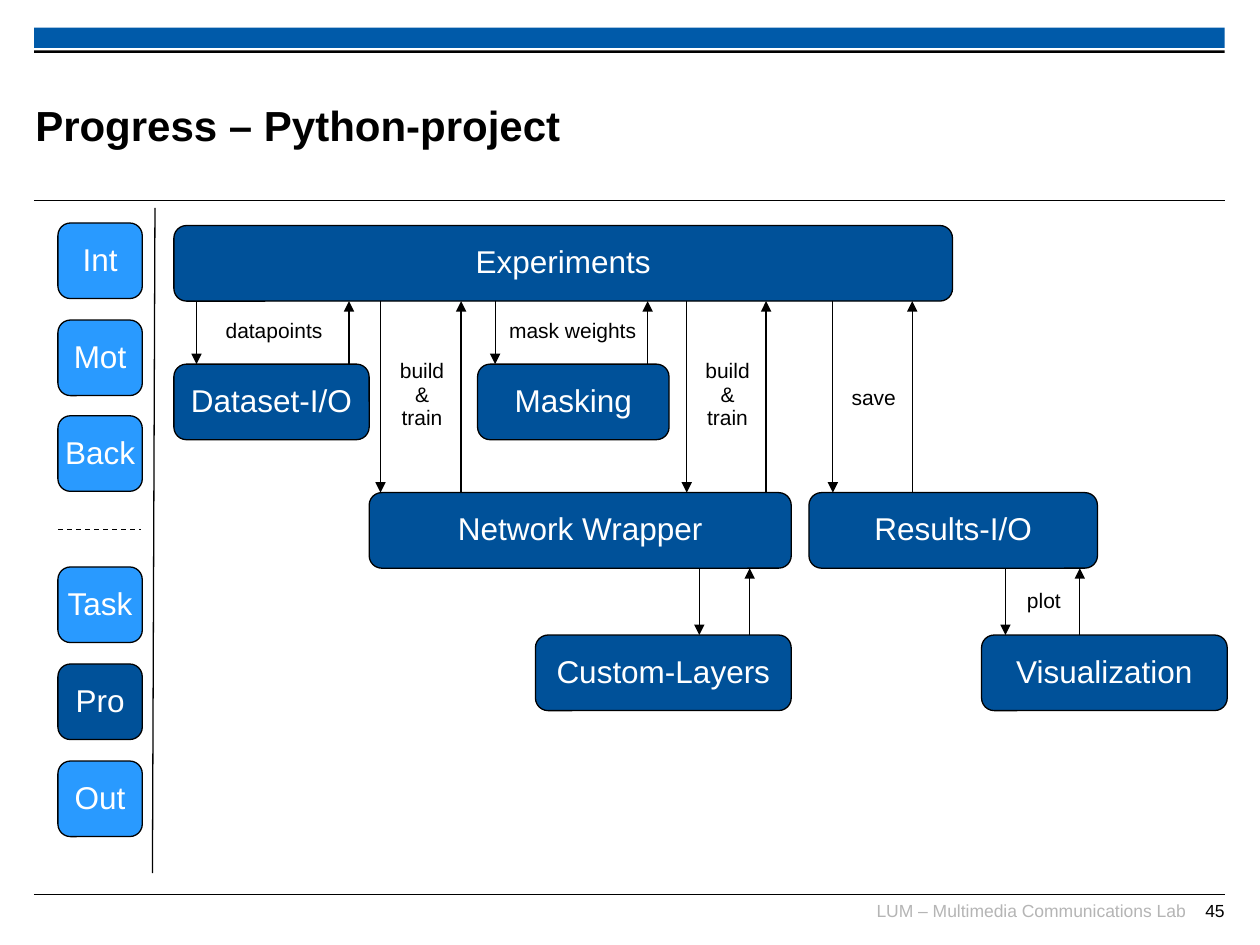
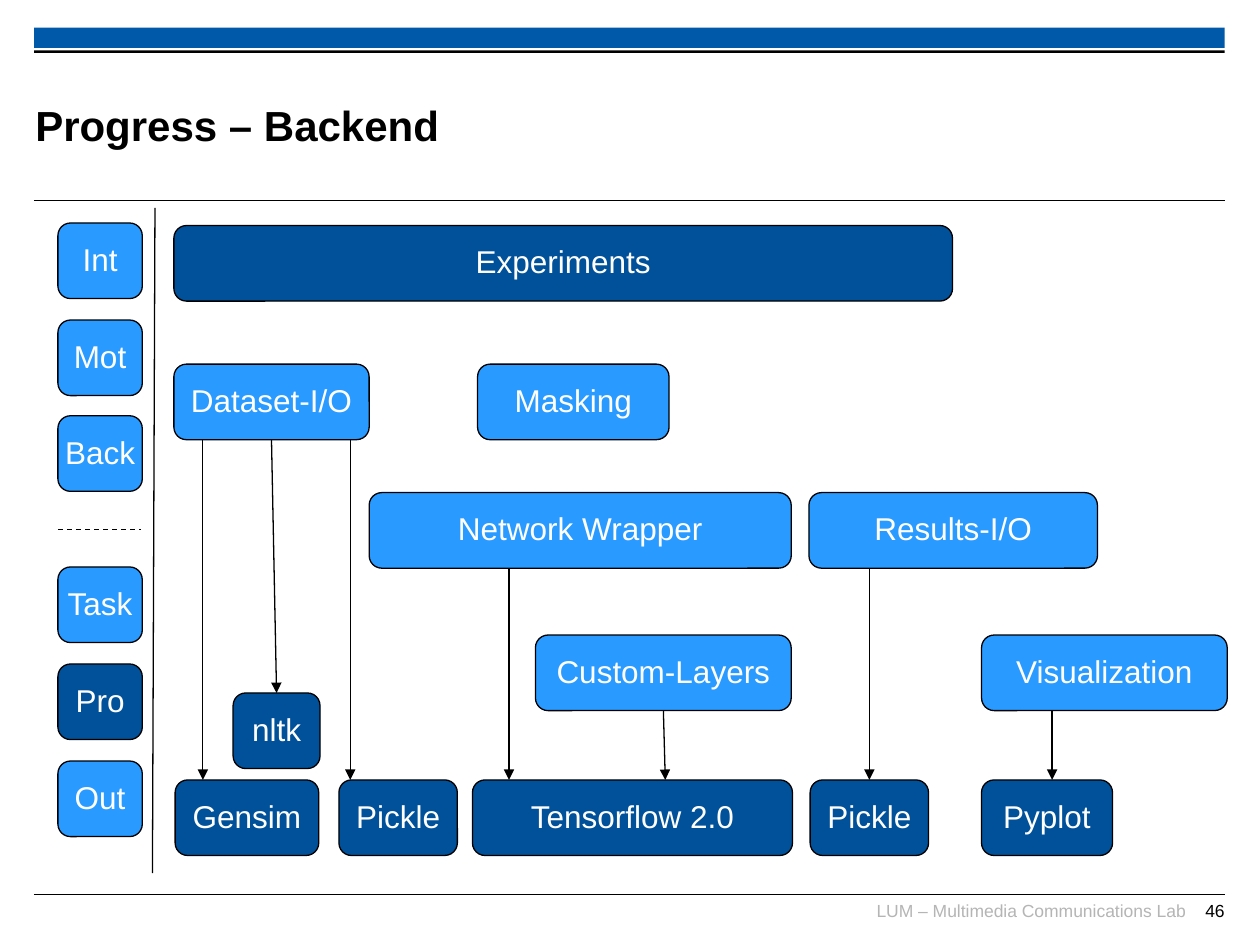
import pptx
import pptx.dml.color
import pptx.enum.dml
import pptx.enum.shapes
import pptx.enum.text
import pptx.oxml.ns
import pptx.util
from lxml import etree

Inches = pptx.util.Inches
RGBColor = pptx.dml.color.RGBColor
MSO_SHAPE = pptx.enum.shapes.MSO_SHAPE
PP_ALIGN = pptx.enum.text.PP_ALIGN
MSO_ANCHOR = pptx.enum.text.MSO_ANCHOR

# Shared look
BLACK = RGBColor(0x00, 0x00, 0x00)
WHITE = RGBColor(0xFF, 0xFF, 0xFF)
GREY = RGBColor(0xB5, 0xB5, 0xB5)
BAND_BLUE = RGBColor(0x00, 0x5A, 0xA9)
DARK_BLUE = RGBColor(0x00, 0x51, 0x99)
LIGHT_BLUE = RGBColor(0x29, 0x9A, 0xFF)
FONT = "Arial"
BOX_HEIGHT = 0.6
LINE_SPACING = 0.93
FOOTER = "LUM – Multimedia Communications Lab"

# Agenda entries in the sidebar: name, top
AGENDA = [("Int", 1.77), ("Mot", 2.54), ("Back", 3.3),
          ("Task", 4.5), ("Pro", 5.27), ("Out", 6.04)]
CURRENT_ENTRY = "Pro"

# Modules of the project: left, top, width
MODULES = {
    "Experiments": (1.38, 1.79, 6.18),
    "Dataset-I/O": (1.38, 2.89, 1.55),
    "Masking": (3.79, 2.89, 1.52),
    "Network Wrapper": (2.93, 3.91, 3.35),
    "Results-I/O": (6.42, 3.91, 2.29),
    "Custom-Layers": (4.25, 5.04, 2.03),
    "Visualization": (7.79, 5.04, 1.95),
}

# Calls between modules: caller, callee, x of call, x of return, label, label top
EXCHANGES = [
    ("Experiments", "Dataset-I/O", 1.56, 2.77, "datapoints", 2.49),
    ("Experiments", "Masking", 3.93, 5.14, "mask weights", 2.49),
    ("Experiments", "Network Wrapper", 3.02, 3.66, "build\n&\ntrain", 2.81),
    ("Experiments", "Network Wrapper", 5.45, 6.08, "build\n&\ntrain", 2.81),
    ("Experiments", "Results-I/O", 6.61, 7.24, "save", 3.02),
    ("Results-I/O", "Visualization", 7.98, 8.57, "plot", 4.63),
    ("Network Wrapper", "Custom-Layers", 5.55, 5.95, None, None),
]

# Libraries: name, left, top, width
LIBRARIES = [
    ("Gensim", 1.39, 6.19, 1.14),
    ("nltk", 1.85, 5.5, 0.69),
    ("Pickle", 2.69, 6.19, 0.94),
    ("Tensorflow 2.0", 3.75, 6.19, 2.54),
    ("Pickle", 6.43, 6.19, 0.94),
    ("Pyplot", 7.79, 6.19, 1.04),
]

# Library use: module, index of library, x of the arrow
LIBRARY_USES = [
    ("Dataset-I/O", 0, 1.61),
    ("Dataset-I/O", 1, 2.17),
    ("Dataset-I/O", 2, 2.78),
    ("Network Wrapper", 3, 4.04),
    ("Custom-Layers", 3, 5.28),
    ("Results-I/O", 4, 6.9),
    ("Visualization", 5, 8.35),
]


def write_text(shape, text, size=18, color=BLACK, bold=False, align=PP_ALIGN.CENTER,
               anchor=MSO_ANCHOR.TOP, wrap=True, spacing=1.0, margin=0.0, margin_top=0.0):
    frame = shape.text_frame
    frame.text = text
    frame.auto_size = pptx.enum.text.MSO_AUTO_SIZE.NONE
    frame.word_wrap = wrap
    frame.vertical_anchor = anchor
    frame.margin_left = frame.margin_right = Inches(margin)
    frame.margin_top = frame.margin_bottom = Inches(margin_top)
    for paragraph in frame.paragraphs:
        paragraph.alignment = align
        paragraph.line_spacing = spacing
        font = paragraph.runs[0].font
        font.name, font.size, font.bold = FONT, pptx.util.Pt(size), bold
        font.color.rgb = color


def add_text(slide, text, left, top, width, height, **text_format):
    box = slide.shapes.add_textbox(*map(Inches, (left, top, width, height)))
    write_text(box, text, **text_format)


def add_bar(slide, top, height, color):
    bar = slide.shapes.add_shape(MSO_SHAPE.RECTANGLE, Inches(0.27), Inches(top),
                                 Inches(9.45), Inches(height))
    bar.shadow.inherit = False
    bar.fill.solid()
    bar.fill.fore_color.rgb = color
    bar.line.fill.background()


def add_box(slide, text, left, top, width, color):
    box = slide.shapes.add_shape(MSO_SHAPE.ROUNDED_RECTANGLE,
                                 *map(Inches, (left, top, width, BOX_HEIGHT)))
    box.shadow.inherit = False
    box.fill.solid()
    box.fill.fore_color.rgb = color
    box.line.color.rgb = BLACK
    box.line.width = pptx.util.Pt(0.75)
    write_text(box, text, color=WHITE, anchor=MSO_ANCHOR.MIDDLE, wrap=False,
               spacing=LINE_SPACING, margin=0.1, margin_top=0.05)
    return box


def add_line(slide, x1, y1, x2, y2, width=0.75, dashed=False, arrow=False):
    line = slide.shapes.add_connector(pptx.enum.shapes.MSO_CONNECTOR.STRAIGHT,
                                      *map(Inches, (x1, y1, x2, y2)))
    line.line.color.rgb = BLACK
    line.line.width = pptx.util.Pt(width)
    if dashed:
        line.line.dash_style = pptx.enum.dml.MSO_LINE.DASH
    properties = line._element.spPr
    if arrow:
        outline = properties.find(pptx.oxml.ns.qn("a:ln"))
        etree.SubElement(outline, pptx.oxml.ns.qn("a:tailEnd"), type="triangle")
    etree.SubElement(properties, pptx.oxml.ns.qn("a:effectLst"))
    return line


def is_middle(box, x):
    return abs(box.left + box.width / 2 - Inches(x)) <= Inches(0.03)


def add_use_arrow(slide, module, library, x):
    """Arrow from the bottom of a module down to the top of a library."""
    arrow = add_line(slide, x, (module.top + module.height) / Inches(1),
                     x, library.top / Inches(1), arrow=True)
    if is_middle(module, x):
        arrow.begin_connect(module, 2)
    if is_middle(library, x):
        arrow.end_connect(library, 0)


def add_exchange(slide, caller, callee, call_x, return_x, label, label_top):
    """Arrow down, arrow back up, and a label between them."""
    top = MODULES[caller][1] + BOX_HEIGHT
    bottom = MODULES[callee][1]
    add_line(slide, call_x, top, call_x, bottom, arrow=True)
    add_line(slide, return_x, bottom, return_x, top, arrow=True)
    if label:
        lines = label.count("\n") + 1
        add_text(slide, label, call_x + 0.01, label_top, return_x - call_x,
                 0.11 + 0.18 * lines, size=12, spacing=LINE_SPACING, margin_top=0.05)


def add_sidebar(slide):
    for name, top in AGENDA:
        add_box(slide, name, 0.46, top, 0.67,
                DARK_BLUE if name == CURRENT_ENTRY else LIGHT_BLUE)
    add_line(slide, 1.23, 1.65, 1.21, 6.93)
    add_line(slide, 0.46, 4.2, 1.12, 4.2, dashed=True)


def add_base_slide(presentation, title, number):
    slide = presentation.slides.add_slide(presentation.slide_layouts[5])
    # Header and footer
    add_bar(slide, 0.22, 0.16, BAND_BLUE)
    add_bar(slide, 0.4, 0.02, BLACK)
    for y in (1.59, 7.1):
        add_line(slide, 0.27, y, 9.72, y, width=0.6)
    add_text(slide, FOOTER, 6.81, 7.14, 2.6, 0.25, size=10, color=GREY,
             align=PP_ALIGN.RIGHT)
    add_text(slide, str(number), 9.29, 7.14, 0.43, 0.24, size=10, align=PP_ALIGN.RIGHT)
    # Title
    heading = slide.shapes.title
    heading.left, heading.top, heading.width, heading.height = map(
        Inches, (0.28, 0.53, 7.52, 0.92))
    write_text(heading, title, size=24, bold=True, align=PP_ALIGN.LEFT,
               anchor=MSO_ANCHOR.MIDDLE)
    add_sidebar(slide)
    return slide


def add_modules(slide, color):
    return {name: add_box(slide, name, *place,
                          DARK_BLUE if name == "Experiments" else color)
            for name, place in MODULES.items()}


def build_project_slide(presentation):
    slide = add_base_slide(presentation, "Progress – Python-project", 45)
    add_modules(slide, DARK_BLUE)
    for exchange in EXCHANGES:
        add_exchange(slide, *exchange)


def build_backend_slide(presentation):
    slide = add_base_slide(presentation, "Progress – Backend", 46)
    modules = add_modules(slide, LIGHT_BLUE)
    libraries = [add_box(slide, *library, DARK_BLUE) for library in LIBRARIES]
    for module, index, x in LIBRARY_USES:
        add_use_arrow(slide, modules[module], libraries[index], x)


def main():
    presentation = pptx.Presentation()
    presentation.slide_width = Inches(10)
    presentation.slide_height = Inches(7.5)
    build_project_slide(presentation)
    build_backend_slide(presentation)
    presentation.save("out.pptx")


if __name__ == "__main__":
    main()
